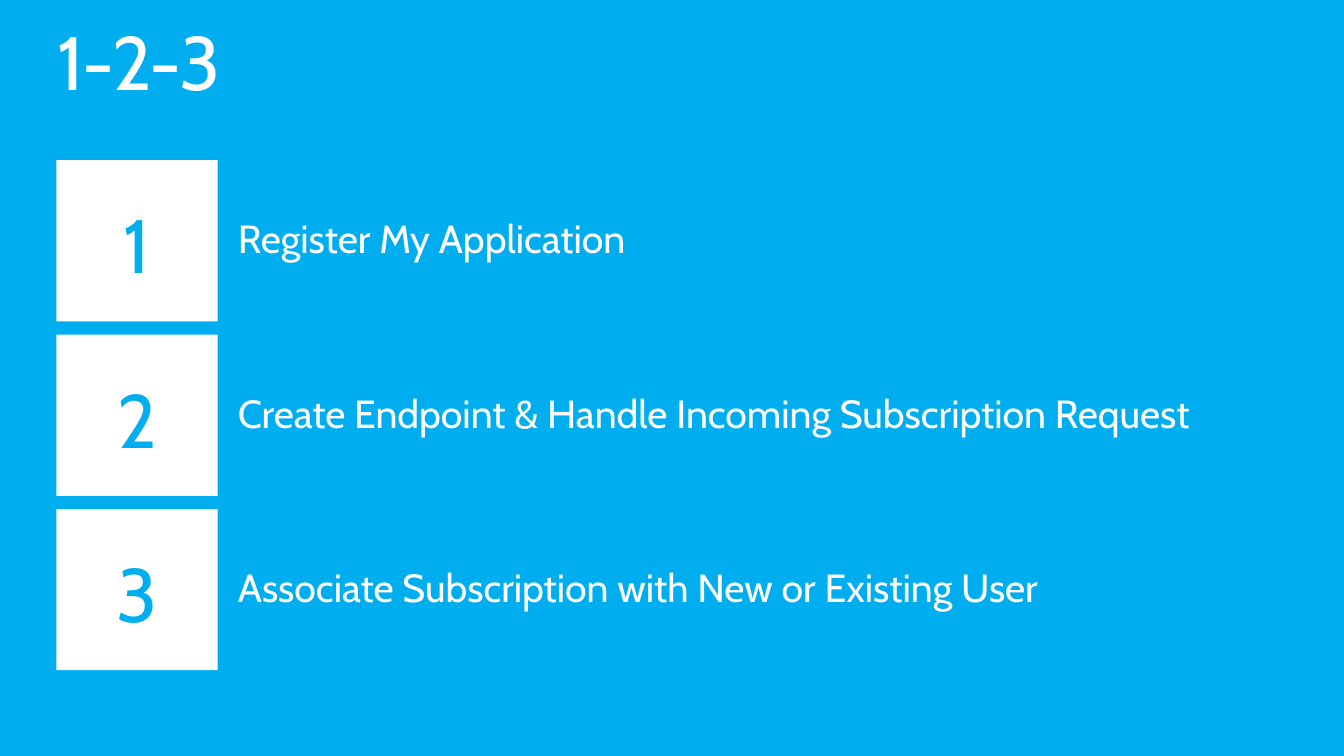
from pptx import Presentation
from pptx.dml.color import RGBColor
from pptx.enum import shapes, text
from pptx.util import Inches, Pt

BLUE = "00AEEF"
WHITE = "FFFFFF"
STEPS = [
    "Register My Application",
    "Create Endpoint & Handle Incoming Subscription Request",
    "Associate Subscription with New or Existing User",
]
FIRST_TOP = 1.59
PITCH = 1.73
TILE = 1.6


def rgb(color):
    """Turn a hex string into a colour."""
    return RGBColor.from_string(color)


def set_text(sp, content, size, color, margins):
    """Put one formatted line of text into a shape and return its run."""
    tf = sp.text_frame
    tf.word_wrap = True
    tf.margin_left, tf.margin_top, tf.margin_right, tf.margin_bottom = map(Inches, margins)
    tf.text = content
    r = tf.paragraphs[0].runs[0]
    r.font.name = "Cabin"
    r.font.size = Pt(size)
    r.font.color.rgb = rgb(color)
    return r


def add_rect(slide, left, top, width, height, color):
    """Add a plain filled rectangle."""
    sp = slide.shapes.add_shape(
        shapes.MSO_SHAPE.RECTANGLE, Inches(left), Inches(top), Inches(width), Inches(height))
    sp.shadow.inherit = False
    sp.fill.solid()
    sp.fill.fore_color.rgb = rgb(color)
    sp.line.fill.background()
    return sp


def add_label(slide, left, top, width, height, content, size, indent=0):
    """Add a white line of text and return its run."""
    sp = slide.shapes.add_textbox(Inches(left), Inches(top), Inches(width), Inches(height))
    r = set_text(sp, content, size, WHITE, (indent, 0, 0, 0))
    tf = sp.text_frame
    tf.auto_size = text.MSO_AUTO_SIZE.SHAPE_TO_FIT_TEXT
    tf.paragraphs[0].line_spacing = 0.9
    return r


def add_step(slide, number, caption):
    """Add a numbered tile with its caption."""
    top = FIRST_TOP + (number - 1) * PITCH
    tile = add_rect(slide, 0.56, top, TILE, TILE, WHITE)
    set_text(tile, str(number), 54, BLUE, (0.1, 0.05, 0.1, 0))
    tile.text_frame.vertical_anchor = text.MSO_ANCHOR.MIDDLE
    tile.text_frame.paragraphs[0].alignment = text.PP_ALIGN.CENTER
    add_label(slide, 0.56 + TILE, top + 0.59, 10.6, 0.42, caption, 28, indent=0.2)


def main():
    """Build and save the slide."""
    prs = Presentation()
    prs.slide_width = Inches(13.33)
    prs.slide_height = Inches(7.5)
    slide = prs.slides.add_slide(prs.slide_layouts[6])
    add_rect(slide, 0, 0, 13.33, 7.5, BLUE)
    title = add_label(slide, 0.57, 0.25, 12.19, 0.82, "1-2-3", 54)
    title.font._element.set("spc", "-100")
    for number, caption in enumerate(STEPS, 1):
        add_step(slide, number, caption)
    prs.save("out.pptx")


if __name__ == "__main__":
    main()
